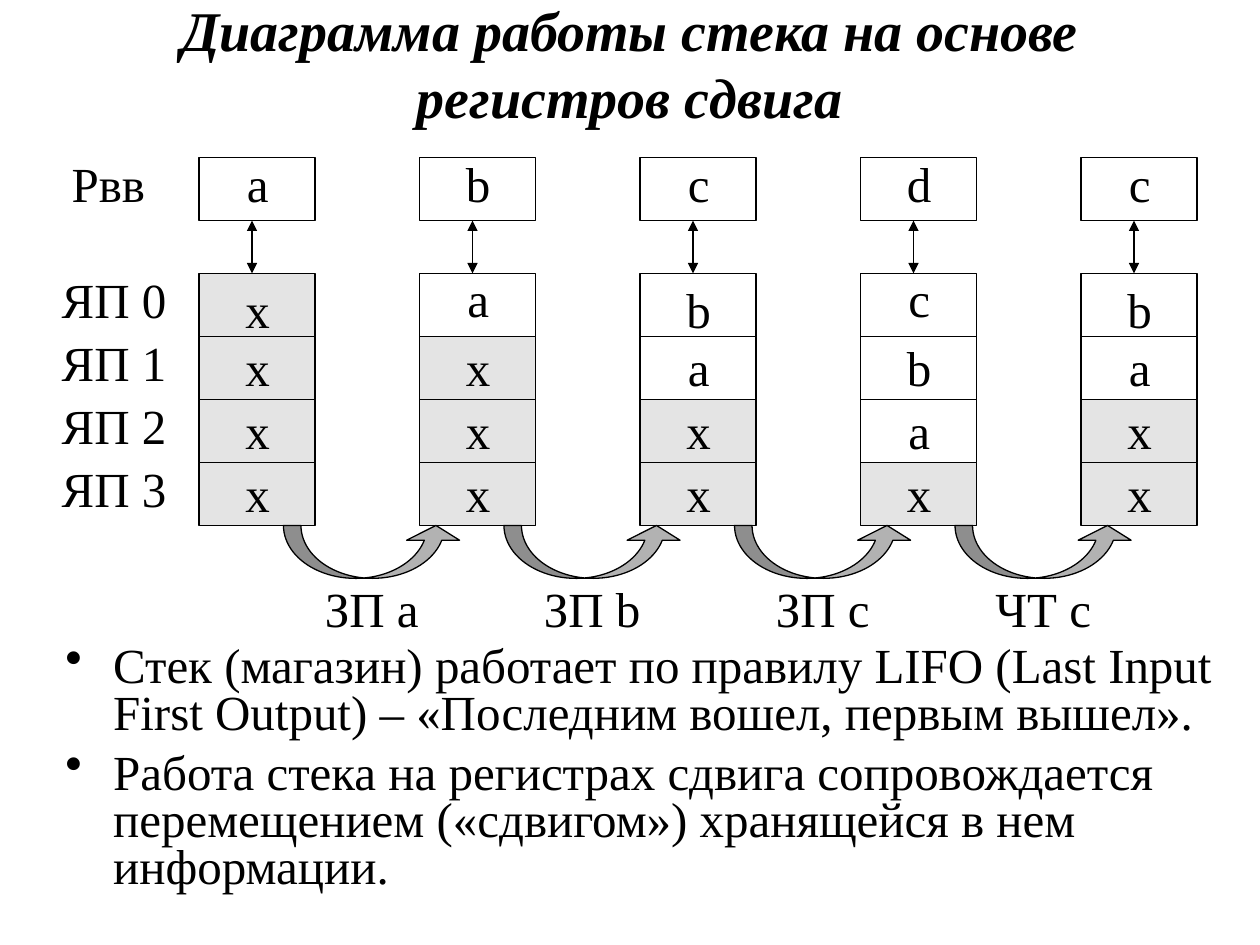
import pptx
import pptx.util
import pptx.dml.color
import pptx.enum.shapes
import pptx.enum.text
import pptx.oxml
import pptx.oxml.ns
from pptx.util import Inches

COLORS = {"ink": "000000", "empty": "E4E4E4", "arrow": "B2B2B2"}
FONT = "Times New Roman"
TITLE = "Диаграмма работы стека на основе регистров сдвига"
BULLETS = [
    "Стек (магазин) работает по правилу LIFO (Last Input First Output) – «Последним вошел, первым вышел».",
    "Работа стека на регистрах сдвига сопровождается перемещением («сдвигом») хранящейся в нем информации.",
]
REGISTER_LABEL = "Рвв"
CELL_LABELS = ["ЯП 0", "ЯП 1", "ЯП 2", "ЯП 3"]
EMPTY = "х"
STATES = [
    {"register": "a", "cells": ["х", "х", "х", "х"], "top_text": 2.17},
    {"register": "b", "cells": ["a", "х", "х", "х"], "top_text": 2.08},
    {"register": "c", "cells": ["b", "a", "х", "х"], "top_text": 2.17},
    {"register": "d", "cells": ["c", "b", "a", "х"], "top_text": 2.08},
    {"register": "c", "cells": ["b", "a", "х", "х"], "top_text": 2.17},
]
OPERATIONS = [("ЗП a", 2.25), ("ЗП b", 4), ("ЗП c", 5.83), ("ЧТ c", 7.58)]

STACK_LEFT, STACK_STEP = 1.58, 1.75
CELL_WIDTH, CELL_HEIGHT = 0.92, 0.5
REGISTER_TOP, STACK_TOP = 1.25, 2.17
STACK_BOTTOM = STACK_TOP + len(CELL_LABELS) * CELL_HEIGHT
TEXT_HEIGHT = 0.62

shape_types = pptx.enum.shapes.MSO_SHAPE
center = pptx.enum.text.PP_ALIGN.CENTER

presentation = pptx.Presentation()
presentation.slide_width, presentation.slide_height = Inches(10), Inches(7.5)
slide = presentation.slides.add_slide(presentation.slide_layouts[6])


def rgb(name):
    return pptx.dml.color.RGBColor.from_string(COLORS[name])


def add_text(lines, left, top, width, height, size=28, paragraph_format=None, **font_format):
    box = slide.shapes.add_textbox(Inches(left), Inches(top), Inches(width), Inches(height))
    frame = box.text_frame
    frame.word_wrap = True
    frame.text = "\n".join(lines)
    for paragraph in frame.paragraphs:
        for name, value in (paragraph_format or {"alignment": center}).items():
            setattr(paragraph, name, value)
        font = paragraph.runs[0].font
        for name, value in {"name": FONT, "size": pptx.util.Pt(size), **font_format}.items():
            setattr(font, name, value)
        font.color.rgb = rgb("ink")
    return frame


def add_outlined(kind, left, top, width, height, fill=None):
    shape = slide.shapes.add_shape(kind, Inches(left), Inches(top), Inches(width), Inches(height))
    shape.shadow.inherit = False
    if fill:
        shape.fill.solid()
        shape.fill.fore_color.rgb = rgb(fill)
    else:
        shape.fill.background()
    shape.line.color.rgb = rgb("ink")
    shape.line.width = pptx.util.Pt(0.75)
    return shape


def add_double_arrow(x, top, bottom):
    connector = slide.shapes.add_connector(
        pptx.enum.shapes.MSO_CONNECTOR.STRAIGHT, Inches(x), Inches(top), Inches(x), Inches(bottom))
    connector.line.color.rgb = rgb("ink")
    connector.line.width = pptx.util.Pt(0.75)
    line = connector.line._get_or_add_ln()
    for end in ("a:headEnd", "a:tailEnd"):
        line.append(pptx.oxml.parse_xml(f'<{end} {pptx.oxml.ns.nsdecls("a")} type="triangle"/>'))
    connector._element.spPr.append(
        pptx.oxml.parse_xml(f'<a:effectLst {pptx.oxml.ns.nsdecls("a")}/>'))


def add_bullet(paragraph):
    properties = paragraph._p.get_or_add_pPr()
    properties.set("marL", str(Inches(0.38)))
    properties.set("indent", str(-Inches(0.38)))
    properties.append(pptx.oxml.parse_xml(f'<a:buChar {pptx.oxml.ns.nsdecls("a")} char="•"/>'))


title = add_text([TITLE], 0.75, 0.08, 8.5, 0.83, size=32, bold=True, italic=True)
title.vertical_anchor = pptx.enum.text.MSO_ANCHOR.MIDDLE

body = add_text(BULLETS, 0.42, 5.08, 9.58, 2.17, paragraph_format={
    "line_spacing": 0.8, "space_before": pptx.util.Pt(7)})
for paragraph in body.paragraphs:
    add_bullet(paragraph)

add_text([REGISTER_LABEL], 0.33, 1.17, 1.06, TEXT_HEIGHT)
for row, label in enumerate(CELL_LABELS):
    add_text([label], 0.25, 2.09 + row * CELL_HEIGHT, 1.31, 0.67)

for column, state in enumerate(STATES):
    left = STACK_LEFT + column * STACK_STEP
    text_left = left + 0.09
    add_outlined(shape_types.RECTANGLE, left, REGISTER_TOP, CELL_WIDTH, CELL_HEIGHT)
    add_text([state["register"]], text_left, 1.17, 0.75, TEXT_HEIGHT)
    add_double_arrow(left + 0.42, REGISTER_TOP + CELL_HEIGHT, STACK_TOP)
    for row, value in enumerate(state["cells"]):
        top = STACK_TOP + row * CELL_HEIGHT
        add_outlined(shape_types.RECTANGLE, left, top, CELL_WIDTH, CELL_HEIGHT,
                     "empty" if value == EMPTY else None)
        text_top = top - 0.04 if row else state["top_text"]
        add_text([value], text_left, text_top, 0.75, TEXT_HEIGHT)

for label, left in OPERATIONS:
    arrow = add_outlined(shape_types.CURVED_UP_ARROW, left, STACK_BOTTOM, 1.42, 0.42, "arrow")
    for index, value in enumerate((0.33, 1, 0.28)):
        arrow.adjustments[index] = value
    add_text([label], left + 0.17, 4.54, 1.06, TEXT_HEIGHT)

presentation.save("out.pptx")
